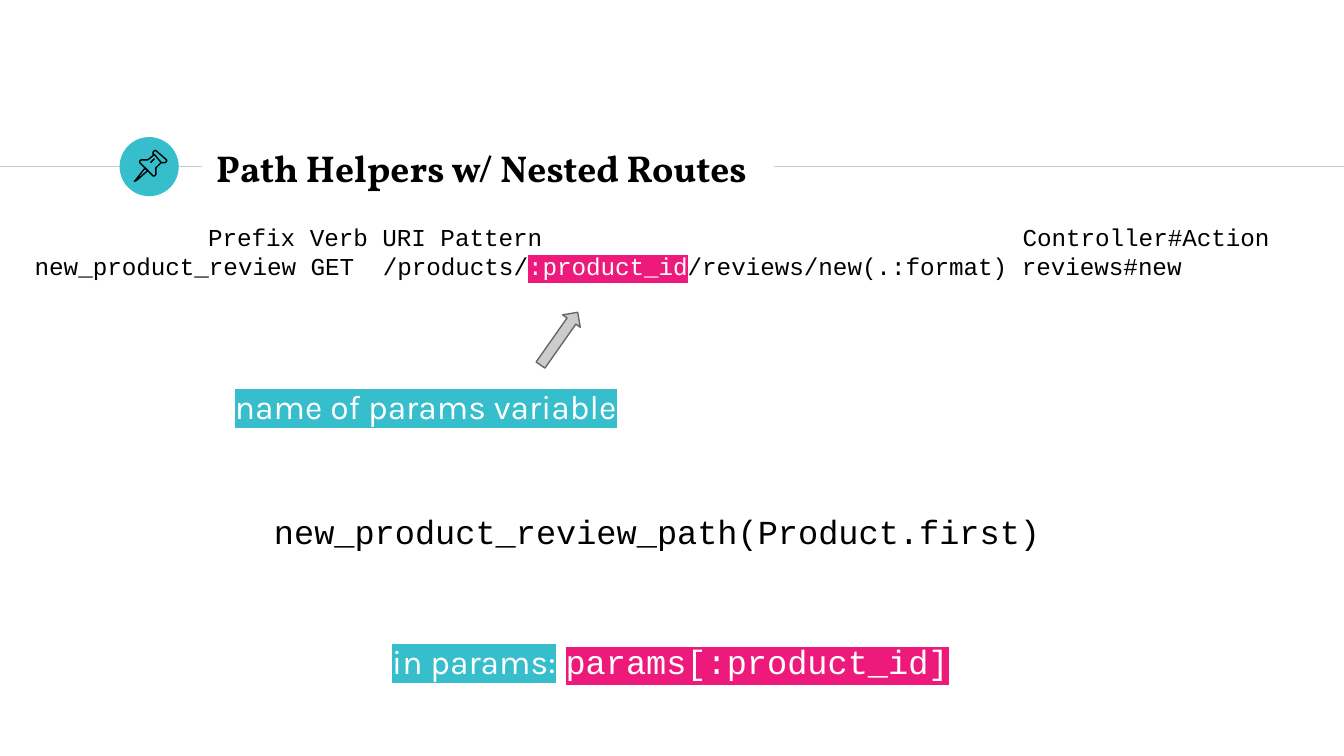
from lxml import etree
from pptx import Presentation
from pptx import util as u
from pptx.dml.color import RGBColor
from pptx.enum import shapes, text
from pptx.oxml.ns import qn

BLACK = RGBColor(0x00, 0x00, 0x00)
WHITE = RGBColor(0xFF, 0xFF, 0xFF)
TEAL = RGBColor(0x37, 0xBE, 0xCC)
PINK = RGBColor(0xED, 0x19, 0x7B)
LIGHT_GRAY = RGBColor(0xCC, 0xCC, 0xCC)
DARK_GRAY = RGBColor(0x66, 0x66, 0x66)
CODE, BODY, HEADING = "Courier New", "Karla", "Vollkorn"

# Each paragraph is a list of (wording, highlight) runs.
TITLE = [[("Path Helpers w/ Nested Routes", None)]]
ROUTES = [
    [("\tPrefix Verb URI Pattern\tController#Action", None)],
    [
        ("new_product_review GET\t/products/", None),
        (":product_id", PINK),
        ("/reviews/new(.:format) reviews#new", None),
    ],
]
ROUTE_TABS = (1.29, 2.59, 7.35)  # prefix, URI pattern, controller

# place, font, size, paragraphs
LABELS = [
    ((1.65, 2.77, 3.65, 0.48), BODY, 18, [[("name of params variable", TEAL)]]),
    ((1.94, 3.7, 6.13, 0.61), CODE, 18,
     [[("new_product_review_path(Product.first)", None)]]),
    ((2.82, 4.67, 3.65, 0.48), BODY, 18, [[("in params:", TEAL)]]),
    ((4.11, 4.67, 3.07, 0.61), CODE, 18, [[("params[:product_id]", PINK)]]),
]

RULE_Y = 1.24
RULES = [(0, 1.5), (5.76, 10)]

# points in hundredths of an inch, closed
PIN_PARTS = [
    ([(108, 125), (101, 134), (100, 135), (102, 134), (110, 127)], True),
    ([(115, 115), (120, 121), (122, 121), (123, 121), (124, 120),
      (124, 119), (116, 112), (115, 112), (114, 113), (114, 115)], True),
    ([(115, 115), (110, 119), (107, 119), (105, 119), (104, 120),
      (104, 121), (114, 131), (115, 131), (116, 130), (116, 125),
      (120, 121)], False),
    ([(112, 121), (115, 118)], False),
]


def set_line(line, color):
    line.color.rgb = color
    line.width = u.Pt(0.75)


def add_highlight(run, color):
    highlight = etree.Element(qn("a:highlight"))
    etree.SubElement(highlight, qn("a:srgbClr"), val=str(color))
    run.font._element.find(qn("a:solidFill")).addnext(highlight)


def add_text(slide, place, font, size, paragraphs, bold=False):
    box = slide.shapes.add_textbox(*map(u.Inches, place))
    frame = box.text_frame
    frame.word_wrap = True
    frame.margin_left = frame.margin_right = u.Inches(0.1)
    frame.margin_top = frame.margin_bottom = u.Inches(0.1)
    for index, runs in enumerate(paragraphs):
        paragraph = frame.add_paragraph() if index else frame.paragraphs[0]
        for wording, highlight in runs:
            run = paragraph.add_run()
            run.text = wording
            run.font.name = font
            run.font.size = u.Pt(size)
            run.font.bold = bold
            run.font.color.rgb = WHITE if highlight else BLACK
            if highlight:
                add_highlight(run, highlight)
    return box


def add_tab_stops(paragraph, positions):
    tabs = etree.SubElement(paragraph._p.get_or_add_pPr(), qn("a:tabLst"))
    for position in positions:
        etree.SubElement(tabs, qn("a:tab"), pos=str(u.Inches(position)), algn="l")


def add_rule(slide, left, right):
    rule = slide.shapes.add_connector(
        shapes.MSO_CONNECTOR.STRAIGHT,
        u.Inches(left), u.Inches(RULE_Y), u.Inches(right), u.Inches(RULE_Y))
    set_line(rule.line, LIGHT_GRAY)
    etree.SubElement(rule._element.spPr, qn("a:effectLst"))


def add_filled_shape(slide, kind, place, color):
    shape = slide.shapes.add_shape(kind, *map(u.Inches, place))
    shape.shadow.inherit = False
    shape.fill.solid()
    shape.fill.fore_color.rgb = color
    shape.line.fill.background()
    return shape


def add_pin(slide):
    group = slide.shapes.add_group_shape()
    for points, closed in PIN_PARTS:
        builder = group.shapes.build_freeform(*points[0], scale=u.Inches(0.01))
        builder.add_line_segments(points[1:], close=closed)
        part = builder.convert_to_shape()
        part.shadow.inherit = False
        part.fill.background()
        set_line(part.line, BLACK)


def main():
    presentation = Presentation()
    presentation.slide_width = u.Inches(10)
    presentation.slide_height = u.Inches(10 * 9 / 16)
    slide = presentation.slides.add_slide(presentation.slide_layouts[6])

    for left, right in RULES:
        add_rule(slide, left, right)
    add_filled_shape(slide, shapes.MSO_SHAPE.OVAL, (0.89, 1.02, 0.44, 0.44), TEAL)

    title = add_text(slide, (1.51, 1.01, 4.41, 0.48), HEADING, 20, TITLE, bold=True)
    title.text_frame.vertical_anchor = text.MSO_ANCHOR.MIDDLE
    add_pin(slide)

    routes = add_text(slide, (0.16, 1.55, 9.69, 1.79), CODE, 13, ROUTES)
    for paragraph in routes.text_frame.paragraphs:
        add_tab_stops(paragraph, ROUTE_TABS)

    for label in LABELS:
        add_text(slide, *label)

    arrow = add_filled_shape(
        slide, shapes.MSO_SHAPE.RIGHT_ARROW, (3.92, 2.44, 0.48, 0.16), LIGHT_GRAY)
    arrow.rotation = 305.1
    set_line(arrow.line, DARK_GRAY)

    presentation.save("out.pptx")


if __name__ == "__main__":
    main()
